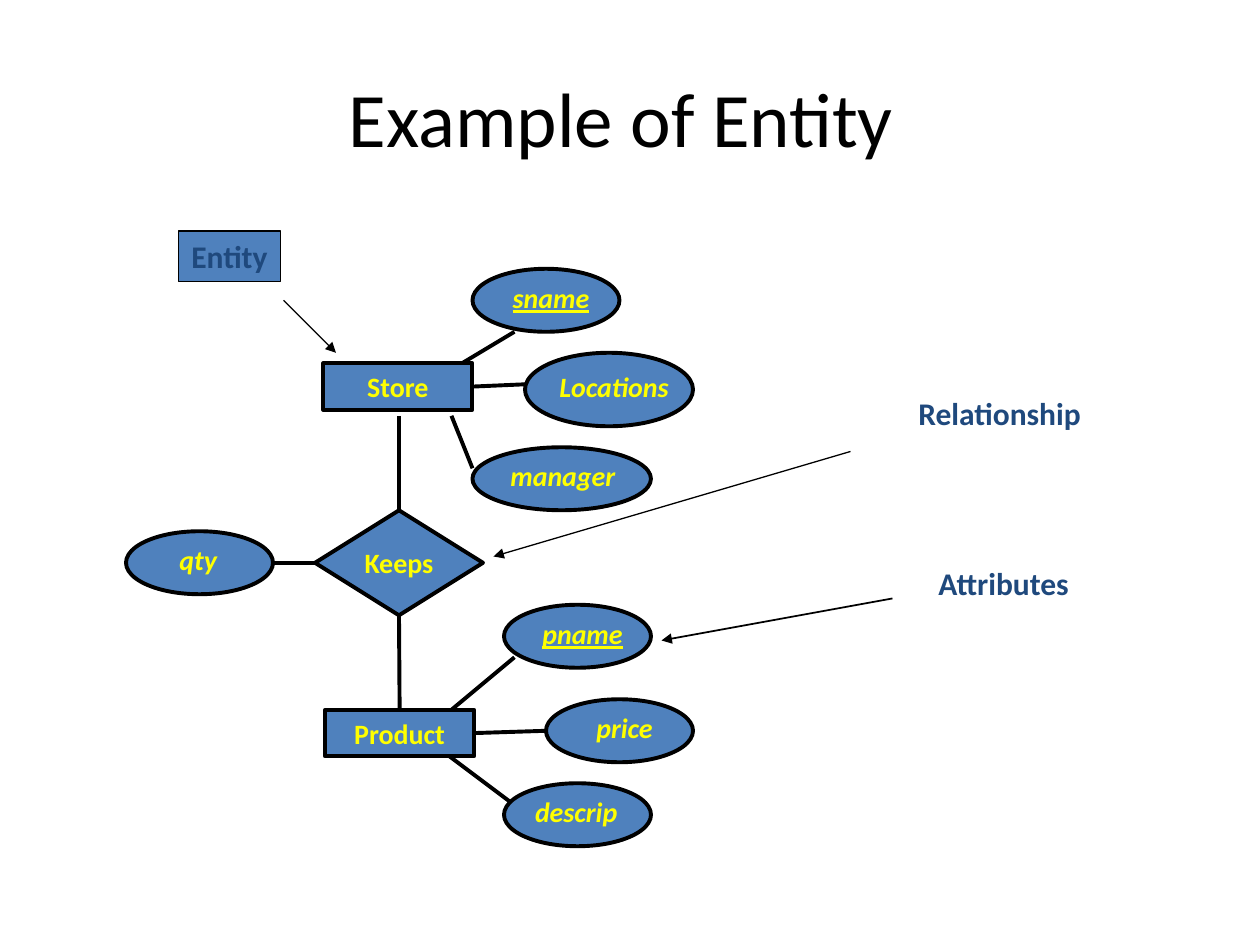
"""Build the slide showing an entity-relationship diagram of stores and products."""
from lxml.etree import SubElement
from pptx import Presentation
from pptx.dml.color import RGBColor
from pptx.enum.shapes import MSO_CONNECTOR, MSO_SHAPE
from pptx.enum.text import MSO_ANCHOR, PP_ALIGN
from pptx.oxml.ns import qn
from pptx.util import Inches, Pt

BLACK = RGBColor(0x00, 0x00, 0x00)
BLUE = RGBColor(0x4F, 0x81, 0xBD)
NAVY = RGBColor(0x1F, 0x49, 0x7D)
YELLOW = RGBColor(0xFF, 0xFF, 0x00)

CELL, TOP = 1 / 12, 0.05
BOLD, ITALIC, KEY = "bold", "italic", "key"

TITLE = "Example of Entity "
NOTES = [
    ("Relationship", 7.19, 3.08, 1.49),
    ("Attributes", 7.35, 4.43, 1.24),
]
BOXES = [
    ("Entity", 17, 21.4, 9.7, 4.8, NAVY, 18, 0.75),
    ("Product", 30.96, 67, 14.2, 4.44, YELLOW, 16, 2.25),
    ("Store", 30.8, 34, 14.2, 4.44, YELLOW, 16, 2.25),
]
OVALS = [
    ("descrip", 48, 74, 14, 6, ITALIC, -0.01),
    ("qty", 12, 50, 14, 6, ITALIC, -0.01),
    ("price", 52, 66, 14, 6, ITALIC, 0.04),
    ("pname", 48, 57, 14, 6, KEY, 0.04),
    ("manager", 45, 42, 17, 6, ITALIC, 0.01),
    ("Locations", 50, 33, 16, 7, ITALIC, 0.04),
    ("sname", 45, 25, 14, 6, KEY, 0.04),
]
LINKS = [
    ((49.7, 76.6), (42.5, 71.2), None),
    ((38, 39), (38, 48), ("Keeps", 0)),
    ((49, 31), (44, 34), None),
    ((50, 36), (45, 36), ("Store", 3)),
    ((45, 44), (43, 39), None),
    ((49, 62), (43, 67), None),
    ((52, 69), (45, 69), ("Product", 3)),
    ((26, 53), (30, 53), ("Keeps", 1)),
]
ARROWS = [
    ((81, 42.4), (47, 52.4), 0.75),
    ((27, 28), (32, 33), 0.75),
    ((85, 56.4), (63, 60.4), 1),
]


def place(col, row):
    return Inches(col * CELL), Inches(TOP + row * CELL)


def write(shape, text, size, color, style=BOLD, align=PP_ALIGN.CENTER):
    frame = shape.text_frame
    frame.text = text
    frame.word_wrap = False
    frame.vertical_anchor = MSO_ANCHOR.MIDDLE
    para = frame.paragraphs[0]
    para.alignment = align
    font = para.font
    font.name, font.size = "Calibri", Pt(size)
    font.color.rgb = color
    font.bold = style is not None
    font.italic = style in (ITALIC, KEY)
    font.underline = style == KEY
    return frame


def label(slide, text, left, top, width, height, *look):
    box = slide.shapes.add_textbox(*map(Inches, (left, top, width, height)))
    write(box, text, *look)


def node(slide, kind, col, row, wide, high, weight=2.25):
    shape = slide.shapes.add_shape(
        kind, *place(col, row), Inches(wide * CELL), Inches(high * CELL))
    shape.shadow.inherit = False
    shape.fill.solid()
    shape.fill.fore_color.rgb = BLUE
    shape.line.color.rgb = BLACK
    shape.line.width = Pt(weight)
    return shape


def wire(slide, start, end, weight=2.25, arrow=False):
    line = slide.shapes.add_connector(
        MSO_CONNECTOR.STRAIGHT, *place(*start), *place(*end))
    line.line.color.rgb = BLACK
    line.line.width = Pt(weight)
    if arrow:
        SubElement(line.line._get_or_add_ln(), qn("a:tailEnd"), type="triangle")
    SubElement(line._element.spPr, qn("a:effectLst"))
    return line


def main():
    deck = Presentation()
    deck.slide_width, deck.slide_height = Inches(10), Inches(7.5)
    slide = deck.slides.add_slide(deck.slide_layouts[6])

    label(slide, TITLE, 0.5, 0.3, 9, 1.25, 44, BLACK, None)
    for text, left, top, width in NOTES:
        label(slide, text, left, top, width, 0.4, 18, NAVY, BOLD, PP_ALIGN.LEFT)
    for start, end, weight in ARROWS:
        wire(slide, start, end, weight, arrow=True)
    lines = [(wire(slide, start, end), join) for start, end, join in LINKS]

    nodes = {"Keeps": node(slide, MSO_SHAPE.DIAMOND, 30, 48, 16, 10)}
    write(nodes["Keeps"], "Keeps", 16, YELLOW)
    for text, col, row, wide, high, color, size, weight in BOXES:
        nodes[text] = node(slide, MSO_SHAPE.RECTANGLE, col, row, wide, high, weight)
        write(nodes[text], text, size, color)
    for text, col, row, wide, high, style, shift in OVALS:
        oval = node(slide, MSO_SHAPE.OVAL, col, row, wide, high)
        frame = write(oval, text, 16, YELLOW, style)
        frame.margin_left = Inches(0.1 + shift)
        frame.margin_right = Inches(0.1 - shift)
        frame.margin_top, frame.margin_bottom = 0, Inches(0.05)

    for line, join in lines:
        if join:
            name, side = join
            line.end_connect(nodes[name], side)
    lines[1][0].begin_y = place(38, 39)[1]
    tie = wire(slide, (38, 58), (38, 67))
    tie.begin_connect(nodes["Keeps"], 2)
    tie.end_connect(nodes["Product"], 0)

    deck.save("out.pptx")


if __name__ == "__main__":
    main()
